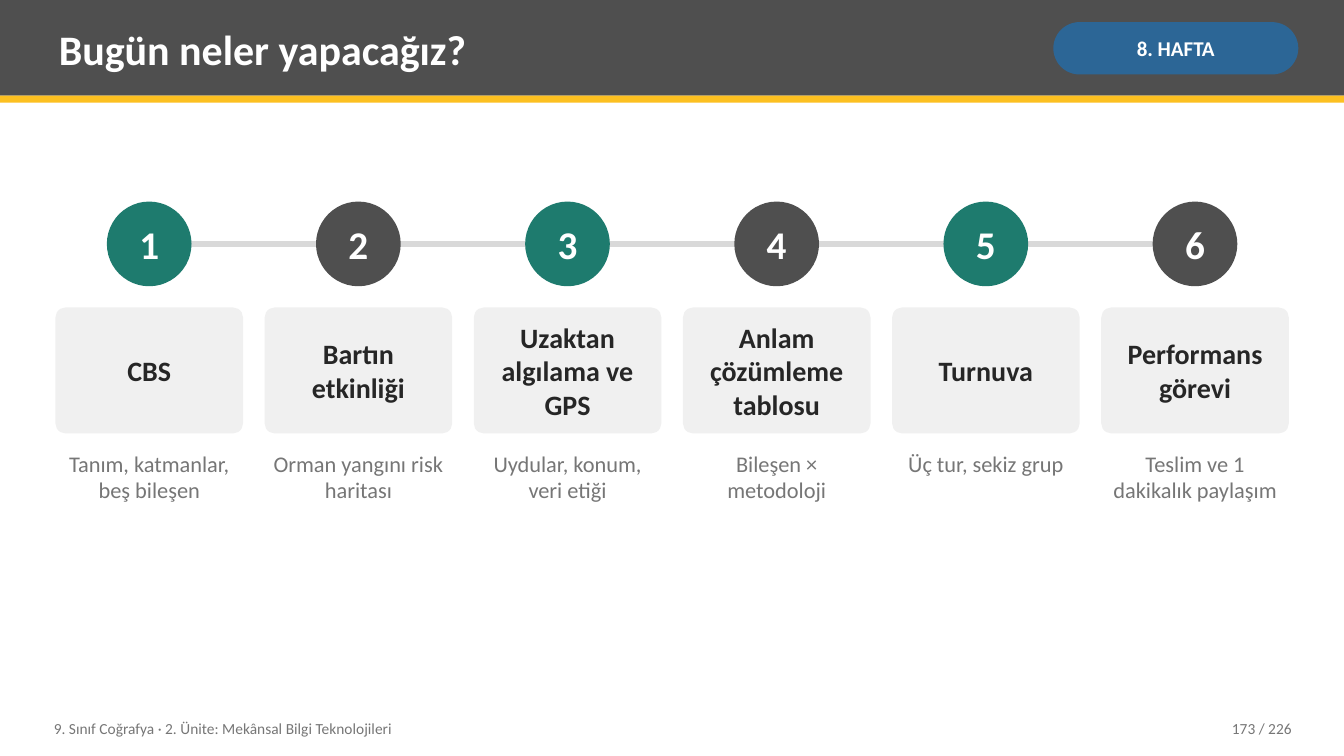
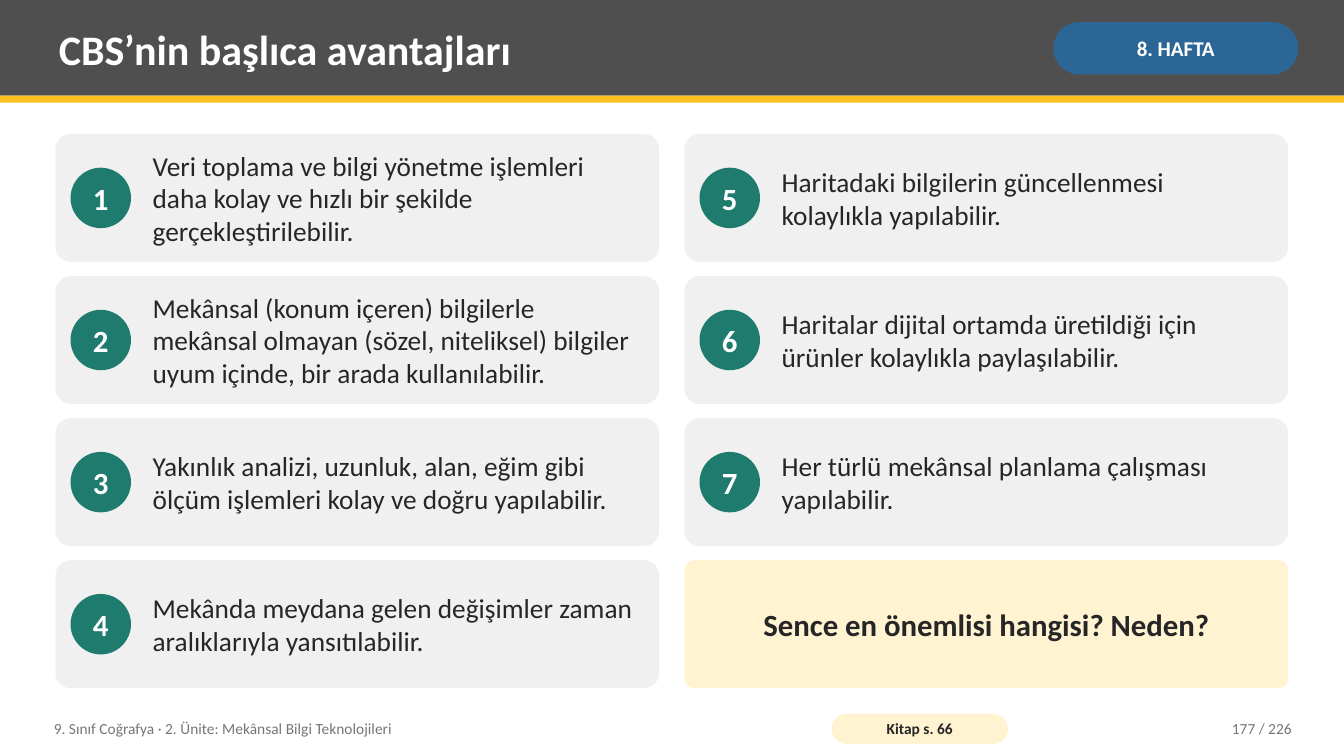
from pptx import Presentation
from pptx.dml.color import RGBColor
from pptx.enum import shapes, text
from pptx.oxml.ns import qn
from pptx.util import Pt

FONT = "Calibri"
WHITE, INK, MUTED = "FFFFFF", "262626", "767676"
DARK, TEAL, BLUE, YELLOW = "4F4F4F", "1E7B6E", "2C6696", "FCC021"
PANEL, CREAM, RAIL = "F0F0F0", "FFF3D1", "D9D9D9"

RECT = shapes.MSO_SHAPE.RECTANGLE
ROUND = shapes.MSO_SHAPE.ROUNDED_RECTANGLE
OVAL = shapes.MSO_SHAPE.OVAL
LEFT, CENTER, RIGHT = (text.PP_ALIGN.LEFT, text.PP_ALIGN.CENTER,
                       text.PP_ALIGN.RIGHT)
TOP, MIDDLE = text.MSO_ANCHOR.TOP, text.MSO_ANCHOR.MIDDLE

SLIDE_W, SLIDE_H = 960, 540
MARGIN = 39.6

STEPS = [
    ("CBS", "Tanım, katmanlar, beş bileşen"),
    ("Bartın etkinliği", "Orman yangını risk haritası"),
    ("Uzaktan algılama ve GPS", "Uydular, konum, veri etiği"),
    ("Anlam çözümleme tablosu", "Bileşen × metodoloji"),
    ("Turnuva", "Üç tur, sekiz grup"),
    ("Performans görevi", "Teslim ve 1 dakikalık paylaşım"),
]
ADVANTAGES = [
    "Veri toplama ve bilgi yönetme işlemleri daha kolay ve hızlı bir şekilde "
    "gerçekleştirilebilir.",
    "Mekânsal (konum içeren) bilgilerle mekânsal olmayan (sözel, niteliksel) "
    "bilgiler uyum içinde, bir arada kullanılabilir.",
    "Yakınlık analizi, uzunluk, alan, eğim gibi ölçüm işlemleri kolay ve doğru "
    "yapılabilir.",
    "Mekânda meydana gelen değişimler zaman aralıklarıyla yansıtılabilir.",
    "Haritadaki bilgilerin güncellenmesi kolaylıkla yapılabilir.",
    "Haritalar dijital ortamda üretildiği için ürünler kolaylıkla "
    "paylaşılabilir.",
    "Her türlü mekânsal planlama çalışması yapılabilir.",
]


def rgb(value):
    return RGBColor.from_string(value)


# Elements
def write(sp, words, size, color, bold=False, align=LEFT, anchor=MIDDLE,
          inset=(6, 3), wrap=True):
    tf = sp.text_frame
    tf.auto_size = text.MSO_AUTO_SIZE.NONE
    tf.word_wrap = wrap
    tf.vertical_anchor = anchor
    tf.margin_left = tf.margin_right = Pt(inset[0])
    tf.margin_top = tf.margin_bottom = Pt(inset[1])
    p = tf.paragraphs[0]
    p.alignment = align
    r = p.add_run()
    r.text = words
    r.font.name, r.font.size, r.font.bold = FONT, Pt(size), bold
    r.font.color.rgb = rgb(color)


def add_box(s, kind, x, y, w, h, fill, corner=None):
    sp = s.shapes.add_shape(kind, Pt(x), Pt(y), Pt(w), Pt(h))
    sp.shadow.inherit = False
    sp.fill.solid()
    sp.fill.fore_color.rgb = rgb(fill)
    sp.line.fill.background()
    if corner is not None:
        sp.adjustments[0] = corner
    return sp


def add_label(s, x, y, w, h, words, size, color, **style):
    sp = s.shapes.add_textbox(Pt(x), Pt(y), Pt(w), Pt(h))
    write(sp, words, size, color, **style)


def add_number(s, x, y, diameter, number, size, fill):
    sp = add_box(s, OVAL, x, y, diameter, diameter, fill)
    write(sp, str(number), size, WHITE, bold=True, align=CENTER,
          inset=(0, 0), wrap=False)


def add_rail(s, x1, x2, y):
    line = s.shapes.add_connector(shapes.MSO_CONNECTOR.STRAIGHT,
                                  Pt(x1), Pt(y), Pt(x2), Pt(y))
    line.line.color.rgb = rgb(RAIL)
    line.line.width = Pt(4)
    sp_pr = line._element.spPr
    sp_pr.append(sp_pr.makeelement(qn("a:effectLst"), {}))


# Shared frame
def build_frame(s, layout):
    """Draw the band, week badge and footer, then move them to the layout."""
    add_box(s, RECT, 0, 0, SLIDE_W, 68.4, DARK)
    add_box(s, RECT, 0, 68.4, SLIDE_W, 5, YELLOW)
    badge = add_box(s, ROUND, 752.4, 15.8, 175, 37.4, BLUE, 0.5)
    write(badge, "8. HAFTA", 15, WHITE, bold=True, align=CENTER,
          inset=(3.6, 1.4))
    add_label(s, 32.4, 507, 547, 26,
              "9. Sınıf Coğrafya · 2. Ünite: Mekânsal Bilgi Teknolojileri",
              11, MUTED)
    for sp in list(s.shapes):
        if not sp.is_placeholder:
            layout.shapes.element.append(sp._element)


def add_slide(prs, layout, title, page):
    s = prs.slides.add_slide(layout)
    sp = s.shapes.title
    sp.left, sp.top, sp.width, sp.height = Pt(36), Pt(5), Pt(702), Pt(59)
    write(sp, title, 30, WHITE, bold=True)
    if len(prs.slides) == 1:
        build_frame(s, layout)
    add_label(s, 813.6, 507, 115.2, 26, f"{page} / 226", 11, MUTED,
              align=RIGHT)
    return s


# Slide contents
def fill_agenda(s):
    card_w, pitch, circle = 134, 149.4, 60.5
    first_mid = MARGIN + card_w / 2
    add_rail(s, first_mid, first_mid + pitch * (len(STEPS) - 1),
             144 + circle / 2)
    for i, (name, detail) in enumerate(STEPS):
        x = MARGIN + i * pitch
        add_number(s, x + (card_w - circle) / 2, 144, circle, i + 1, 28,
                   DARK if i % 2 else TEAL)
        card = add_box(s, ROUND, x, 219.6, card_w, 90, PANEL, 0.08)
        write(card, name, 20, INK, bold=True, align=CENTER, inset=(6, 6))
        add_label(s, x, 318.2, card_w, 137, detail, 16, MUTED,
                  align=CENTER, anchor=TOP)


def fill_advantages(s):
    rows, top, card_w, card_h, circle = 4, 95.7, 431.3, 91.4, 43.2

    def corner_of(i):
        col, row = divmod(i, rows)
        return MARGIN + col * 449.3, top + row * 101.5

    for i, words in enumerate(ADVANTAGES):
        x, y = corner_of(i)
        add_box(s, ROUND, x, y, card_w, card_h, PANEL, 0.12)
        add_number(s, x + 10.8, y + (card_h - circle) / 2, circle, i + 1, 22,
                   TEAL)
        add_label(s, x + 63.4, y, 360.7, card_h, words, 19.5, INK)

    # Closing question and book page
    question = add_box(s, ROUND, *corner_of(len(ADVANTAGES)), card_w, card_h,
                       CREAM, 0.08)
    write(question, "Sence en önemlisi hangisi? Neden?", 22, INK, bold=True,
          align=CENTER, inset=(10, 6))
    book = add_box(s, ROUND, 594, 509.8, 126, 21.6, CREAM, 0.5)
    write(book, "Kitap s. 66", 11, INK, bold=True, align=CENTER,
          inset=(3, 0))


def main():
    prs = Presentation()
    prs.slide_width, prs.slide_height = Pt(SLIDE_W), Pt(SLIDE_H)
    layout = prs.slide_layouts.get_by_name("Title Only")
    fill_agenda(add_slide(prs, layout, "Bugün neler yapacağız?", 173))
    fill_advantages(add_slide(prs, layout, "CBS’nin başlıca avantajları", 177))
    prs.save("out.pptx")


if __name__ == "__main__":
    main()
